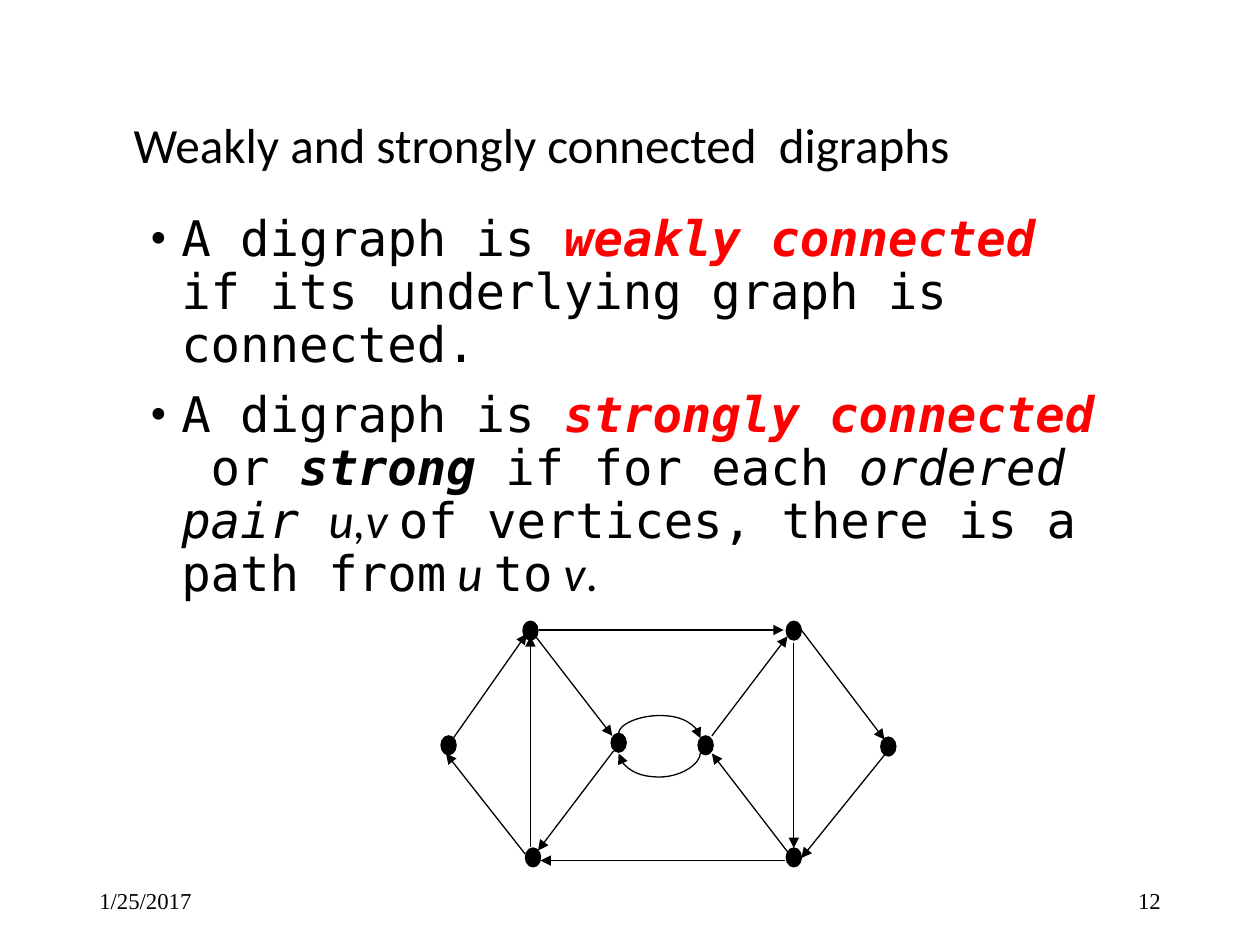
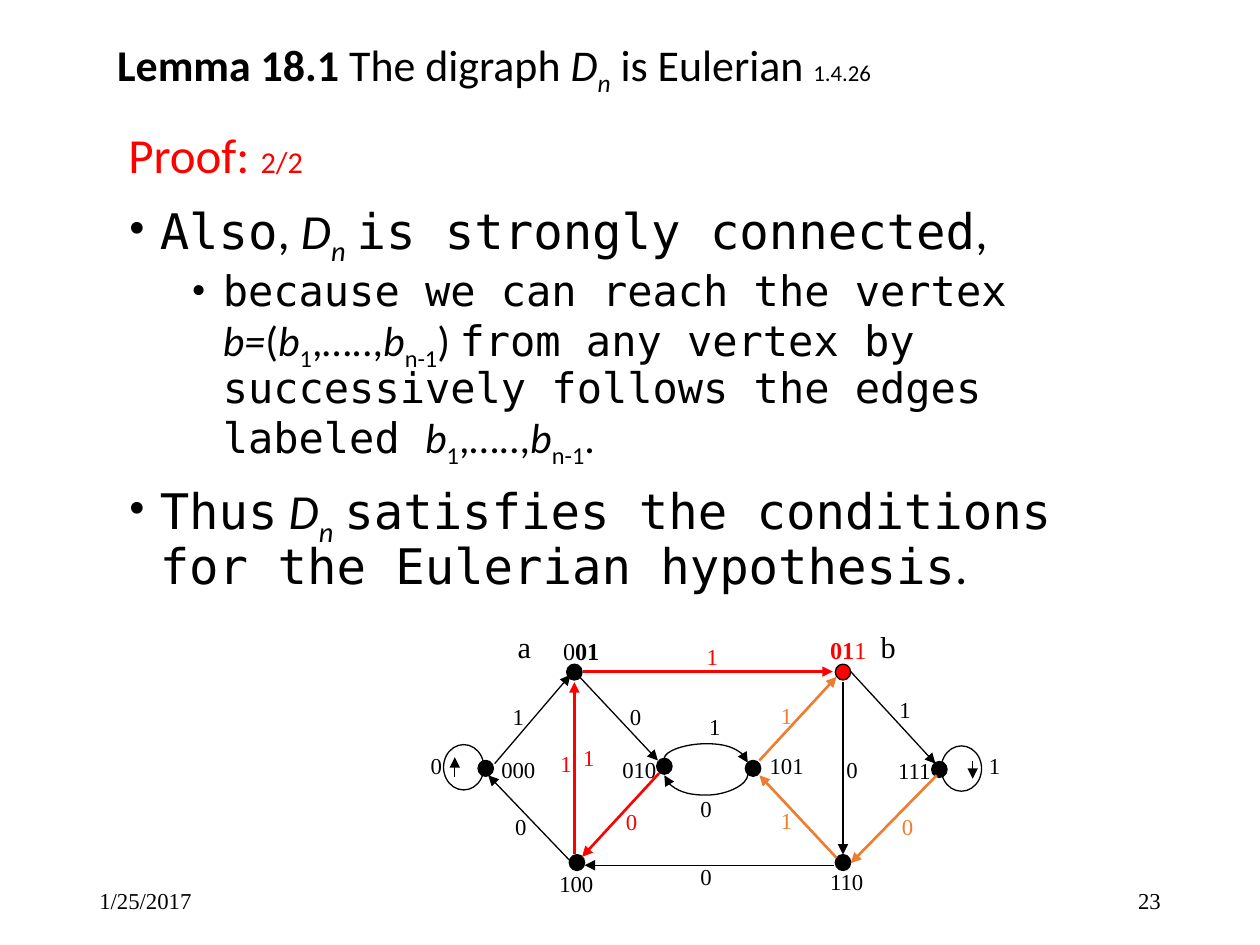
"""Build two slides on connected and Eulerian digraphs."""
from dataclasses import dataclass, replace

from lxml import etree
from pptx import Presentation
from pptx import util as u
from pptx.dml import color
from pptx.enum import shapes, text
from pptx.oxml import ns


@dataclass(frozen=True)
class Theme:
    """Colours, fonts, type sizes and line widths."""
    black: str = "000000"
    red: str = "FF0000"
    orange: str = "ED7D31"
    prose: str = "Calibri"
    mono: str = "DejaVu Sans Mono"
    serif: str = "Times New Roman"
    body: float = 28
    detail: float = 24
    mark: float = 17.3
    vertex: float = 13.8
    small: float = 13
    thin: float = 0.75
    thick: float = 1.5


THEME = Theme()


@dataclass(frozen=True)
class Style:
    """Look of one span of text."""
    font: str = THEME.prose
    size: float = THEME.body
    colour: str = THEME.black
    bold: bool = False
    italic: bool = False
    sub: bool = False


@dataclass(frozen=True)
class Plan:
    """Placement of the digraph: where ORIGIN lands, and its scale."""
    left: float
    top: float
    across: float = 1
    down: float = 1

    def place(self, x, y):
        """Return page coordinates of a digraph point."""
        return (self.left + (x - ORIGIN[0]) * self.across,
                self.top + (y - ORIGIN[1]) * self.down)


MONO = Style(THEME.mono)
MONO_ITALIC = replace(MONO, italic=True)
KEY = replace(MONO_ITALIC, bold=True)
KEY_RED = replace(KEY, colour=THEME.red)
PROSE = Style()
SYMBOL = replace(PROSE, italic=True)
SMALL = Style(THEME.serif, THEME.small)

ORIGIN = (4.28, 5)
VERTEX_SIZE = (0.12, 0.15)
VERTICES = {
    "000": (3.5, 5.84), "001": (4.15, 4.93), "010": (4.85, 5.82),
    "011": (6.24, 4.93), "100": (4.17, 6.73), "101": (5.54, 5.84),
    "110": (6.24, 6.73), "111": (6.99, 5.85),
}
EDGES = {
    ("000", "001"): (3.59, 5.87, 4.18, 5.03),
    ("001", "011"): (4.28, 5, 6.22, 5),
    ("001", "010"): (4.25, 5.05, 4.86, 5.84),
    ("010", "100"): (4.87, 5.96, 4.27, 6.75),
    ("011", "110"): (6.3, 5.1, 6.3, 6.73),
    ("011", "111"): (6.36, 5, 7.02, 5.87),
    ("100", "000"): (4.17, 6.78, 3.54, 5.98),
    ("100", "001"): (4.21, 6.72, 4.21, 5.05),
    ("101", "011"): (5.65, 5.84, 6.25, 5.05),
    ("110", "100"): (6.23, 6.83, 4.29, 6.83),
    ("110", "101"): (6.25, 6.76, 5.65, 5.98),
    ("111", "110"): (7.03, 5.98, 6.36, 6.81),
}
ARCS = [((4.91, 5.82), (5.56, 5.86), 5.68), ((5.56, 5.97), (4.91, 5.98), 6.17)]


def inches(*lengths):
    """Turn numbers into lengths."""
    return [u.Inches(length) for length in lengths]


def rgb(value):
    """Turn a hex value into a colour."""
    return color.RGBColor.from_string(value)


def add_span(para, words, style):
    """Add one formatted run."""
    span = para.add_run()
    span.text = words
    font = span.font
    font.name, font.size = style.font, u.Pt(style.size)
    font.bold, font.italic = style.bold, style.italic
    font.color.rgb = rgb(style.colour)
    if style.sub:
        font._rPr.set("baseline", "-25000")


def add_spans(para, spans):
    """Add the runs of a paragraph."""
    for words, style in spans:
        add_span(para, words, style)


def add_bullet(para, indent):
    """Give a paragraph a hanging round bullet."""
    properties = para._p.get_or_add_pPr()
    properties.set("marL", str(u.Inches(indent)))
    properties.set("indent", str(u.Inches(-0.25)))
    etree.SubElement(properties, ns.qn("a:buFont")).set("typeface", THEME.serif)
    etree.SubElement(properties, ns.qn("a:buChar")).set("char", "•")


def set_title(page, at, spans):
    """Move and fill the title placeholder."""
    box = page.shapes.title
    box.left, box.top, box.width, box.height = inches(*at)
    frame = box.text_frame
    frame.word_wrap, frame.auto_size = True, text.MSO_AUTO_SIZE.NONE
    frame.vertical_anchor = text.MSO_ANCHOR.MIDDLE
    para = frame.paragraphs[0]
    para.alignment, para.line_spacing = text.PP_ALIGN.LEFT, 0.9
    add_spans(para, spans)


def add_body(page, at, items):
    """Add body text from (level, spans); a level of None has no bullet."""
    frame = page.shapes.add_textbox(*inches(*at)).text_frame
    frame.word_wrap = True
    for index, (level, spans) in enumerate(items):
        para = frame.add_paragraph() if index else frame.paragraphs[0]
        if level is not None:
            para.level = level
            add_bullet(para, 0.25 + 0.5 * level)
        para.line_spacing = 0.9
        if index:
            para.space_before = u.Pt(5 if level else 10)
        add_spans(para, spans)


def add_label(page, at, spans, align=text.PP_ALIGN.LEFT, anchor=text.MSO_ANCHOR.TOP):
    """Add a one-line text box."""
    frame = page.shapes.add_textbox(*inches(*at)).text_frame
    frame.word_wrap, frame.vertical_anchor = True, anchor
    frame.paragraphs[0].alignment = align
    add_spans(frame.paragraphs[0], spans)


def add_footer(page, number):
    """Add the date and the page number."""
    for left, words, align in ((0.69, "1/25/2017", text.PP_ALIGN.LEFT),
                               (7.06, number, text.PP_ALIGN.RIGHT)):
        add_label(page, (left, 6.95, 2.25, 0.4), [(words, SMALL)],
                  align, text.MSO_ANCHOR.MIDDLE)


def add_ellipse(page, at, fill=None):
    """Add an outlined ellipse, filled or hollow."""
    ellipse = page.shapes.add_shape(shapes.MSO_SHAPE.OVAL, *inches(*at))
    ellipse.shadow.inherit = False
    ellipse.line.color.rgb, ellipse.line.width = rgb(THEME.black), u.Pt(THEME.thin)
    if fill:
        ellipse.fill.solid()
        ellipse.fill.fore_color.rgb = rgb(fill)
    else:
        ellipse.fill.background()


def add_arrow(page, start, end, colour=THEME.black, kind=shapes.MSO_CONNECTOR.STRAIGHT):
    """Add an arrow; coloured ones are thick."""
    arrow = page.shapes.add_connector(kind, *inches(*start, *end))
    arrow.line.color.rgb = rgb(colour)
    arrow.line.width = u.Pt(THEME.thin if colour == THEME.black else THEME.thick)
    etree.SubElement(arrow.line._get_or_add_ln(), ns.qn("a:tailEnd")).set("type", "triangle")
    etree.SubElement(arrow._element.spPr, ns.qn("a:effectLst"))
    return arrow


def add_arc(page, start, end, peak):
    """Add a curved arrow that bulges to the height of peak."""
    arc = add_arrow(page, start, end, kind=shapes.MSO_CONNECTOR.CURVE)
    drop, span = end[1] - start[1], abs(end[0] - start[0])
    middle, centre = (start[0] + end[0]) / 2, (start[1] + end[1]) / 2
    arc.left, arc.top, arc.width, arc.height = inches(
        middle - drop / 2, centre - span / 2, drop, span)
    frame = arc._element.spPr.find(ns.qn("a:xfrm"))
    frame.attrib.pop("flipH", None)
    frame.set("rot", "5400000")
    frame.set("flipV", "1" if end[0] > start[0] else "0")
    geometry = arc._element.spPr.find(ns.qn("a:prstGeom"))
    guides = geometry.find(ns.qn("a:avLst"))
    if guides is None:
        guides = etree.SubElement(geometry, ns.qn("a:avLst"))
    guide = etree.SubElement(guides, ns.qn("a:gd"))
    guide.set("name", "adj1")
    guide.set("fmla", f"val {round((peak - start[1]) / drop * 100000)}")


def add_digraph(page, plan, vertices, edges, vertex_colours, edge_colours):
    """Draw the eight-vertex digraph."""
    width, height = VERTEX_SIZE
    for name, corner in vertices.items():
        size = (width * plan.across, height * plan.down)
        add_ellipse(page, (*plan.place(*corner), *size),
                    vertex_colours.get(name, THEME.black))
    for ends, (x1, y1, x2, y2) in edges.items():
        add_arrow(page, plan.place(x1, y1), plan.place(x2, y2),
                  edge_colours.get(ends, THEME.black))
    for start, end, peak in ARCS:
        add_arc(page, plan.place(*start), plan.place(*end), plan.place(0, peak)[1])


def add_loops(page):
    """Draw the loops at 000 and 111 with their direction arrows."""
    for left, top, x, y1, y2 in ((3.52, 5.91, 3.61, 6.17, 6.01),
                                 (7.47, 5.92, 7.72, 6.04, 6.18)):
        add_ellipse(page, (left, top, 0.32, 0.36))
        add_arrow(page, (x, y1), (x, y2))


def add_graph_labels(page):
    """Label the edges, the vertices and the two ends a and b."""
    edge_labels = {
        ("0", THEME.black): [(3.32, 5.92), (3.99, 6.4), (4.9, 5.53), (5.46, 6.8),
                             (5.46, 6.26), (6.62, 5.95)],
        ("0", THEME.red): [(4.87, 6.36)],
        ("0", THEME.orange): [(7.06, 6.4)],
        ("1", THEME.black): [(3.97, 5.53), (5.53, 5.61), (7.04, 5.47), (7.75, 5.92)],
        ("1", THEME.red): [(4.35, 5.9), (5.51, 5.05), (4.53, 5.85)],
        ("1", THEME.orange): [(6.1, 5.52), (6.1, 6.35)],
    }
    for (digit, colour), corners in edge_labels.items():
        for corner in corners:
            add_label(page, (*corner, 0.24, 0.32), [(digit, replace(SMALL, colour=colour))])
    plain = replace(SMALL, size=THEME.vertex)
    red = replace(plain, colour=THEME.red)
    vertex_labels = [
        (4.37, 5, [("0", plain), ("01", replace(plain, bold=True))]),
        (6.49, 4.99, [("01", replace(red, bold=True)), ("1", red)]),
    ] + [(left, top, [(name, SMALL)]) for name, left, top in (
        ("000", 3.88, 5.95), ("100", 4.34, 6.85), ("010", 4.84, 5.95),
        ("101", 6.01, 5.92), ("110", 6.49, 6.84), ("111", 7.03, 5.96))]
    for left, top, spans in vertex_labels:
        add_label(page, (left, top, 0.55, 0.32), spans)
    for name, left in (("a", 4.01), ("b", 6.89)):
        add_label(page, (left, 4.94, 0.32, 0.39), [(name, replace(SMALL, size=THEME.mark))])


def build_connected(page):
    """Define weakly and strongly connected digraphs."""
    set_title(page, (0.96, 0.67, 8.05, 1),
              [("Weakly and strongly connected  digraphs", replace(PROSE, size=28.1))])
    add_body(page, (1.09, 1.65, 7.82, 2.79), [
        (0, [("A digraph is ", MONO), ("weakly connected  ", KEY_RED),
             ("if its underlying graph is connected.", MONO)]),
        (0, [("A digraph is ", MONO), ("strongly connected  ", KEY_RED), ("or ", MONO),
             ("strong", KEY), (" if for each ", MONO), ("ordered pair ", MONO_ITALIC),
             ("u,v ", SYMBOL), ("of vertices, there is a path from", MONO),
             (" u ", SYMBOL), ("to", MONO), (" v", SYMBOL), (".", PROSE)]),
    ])
    add_digraph(page, Plan(*ORIGIN), VERTICES, EDGES, {}, {})
    add_footer(page, "12")


def build_lemma(page):
    """Finish the proof that the digraph is Eulerian."""
    head = replace(PROSE, size=25.1)
    head_symbol = replace(head, italic=True)
    set_title(page, (0.83, 0.13, 8.31, 0.78), [
        ("Lemma 18.1 ", replace(head, bold=True)), ("The digraph ", head),
        ("D", head_symbol), ("n", replace(head_symbol, sub=True)),
        (" is Eulerian ", head), ("1.4.26", replace(head, size=THEME.small))])
    red = replace(PROSE, colour=THEME.red)
    digraph = [("D", SYMBOL), ("n", replace(SYMBOL, sub=True)), (" ", SYMBOL)]
    mono, prose, symbol = (replace(style, size=THEME.detail) for style in (MONO, PROSE, SYMBOL))
    sub = replace(prose, sub=True)
    sequence = [("b", symbol), ("1", sub), (",…..,", prose), ("b", symbol), ("n-1", sub)]
    add_body(page, (0.92, 0.99, 8.22, 3.59), [
        (None, [("Proof: ", red), ("2/2", replace(red, size=THEME.mark))]),
        (0, [("Also", MONO), (", ", PROSE), *digraph,
             ("is strongly connected", MONO), (",", PROSE)]),
        (1, [("because we can reach the vertex ", mono), ("b=", symbol), ("(", prose),
             *sequence, (") ", prose),
             ("from any vertex by successively follows the edges labeled ", mono),
             *sequence, (".", prose)]),
        (0, [("Thus", MONO), (" ", PROSE), *digraph,
             ("satisfies the conditions for the Eulerian hypothesis", MONO), (".", PROSE)]),
    ])
    red_path = [("010", "100"), ("100", "001"), ("001", "011")]
    orange_path = [("111", "110"), ("110", "101"), ("101", "011")]
    add_digraph(page, Plan(4.63, 5.33, 1.02, 0.84),
                VERTICES | {"000": (3.46, 5.84)},
                EDGES | {("100", "001"): (4.21, 6.72, 4.21, 5.1)},
                {"011": THEME.red},
                dict.fromkeys(red_path, THEME.red) | dict.fromkeys(orange_path, THEME.orange))
    add_loops(page)
    add_graph_labels(page)
    add_footer(page, "23")


def main():
    """Build and save the deck."""
    deck = Presentation()
    deck.slide_width, deck.slide_height = inches(10, 7.5)
    for build in (build_connected, build_lemma):
        build(deck.slides.add_slide(deck.slide_layouts[5]))
    deck.save("out.pptx")


if __name__ == "__main__":
    main()
